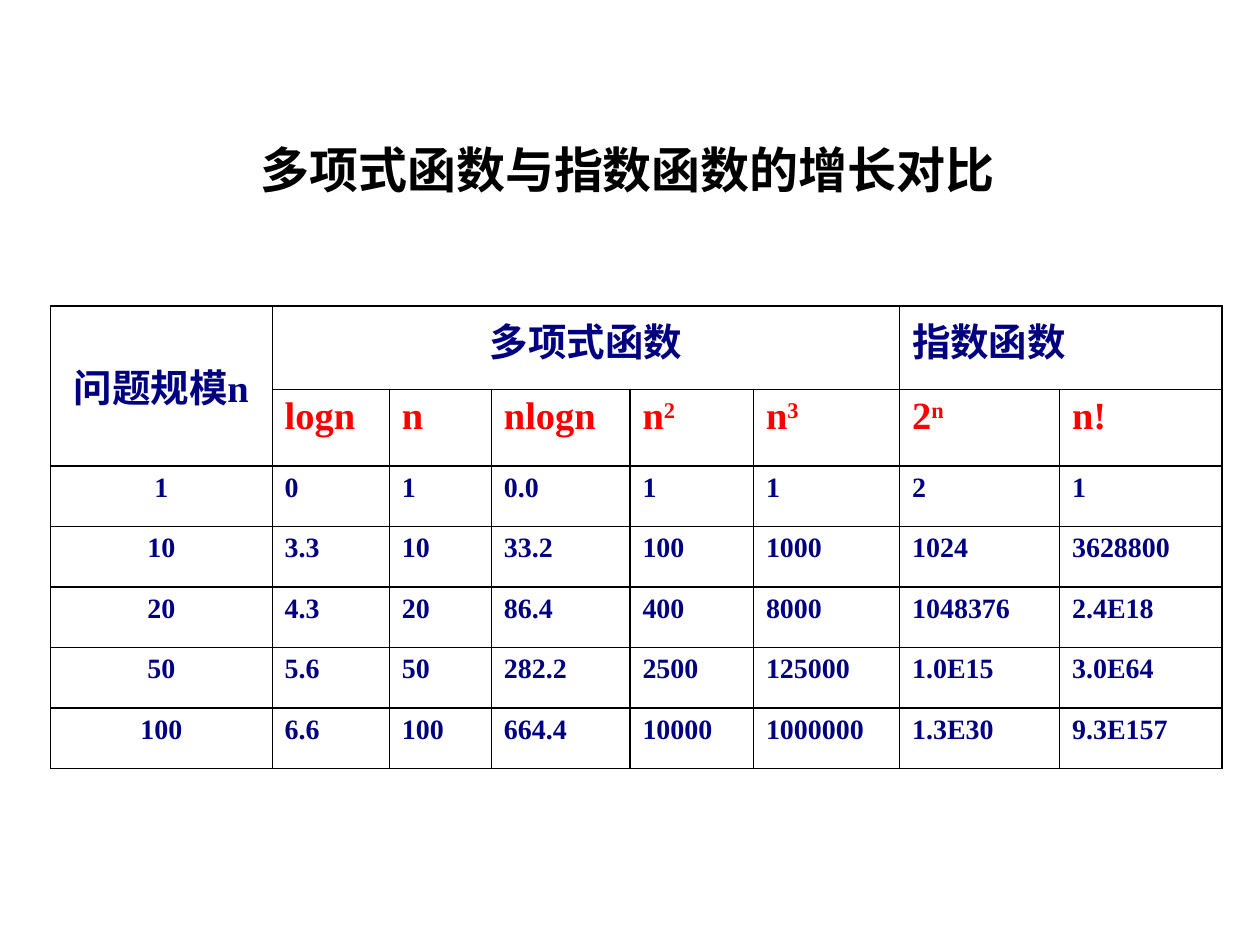
from pptx import Presentation
from pptx.dml.color import RGBColor
from pptx.enum.text import MSO_ANCHOR as Anchor, PP_ALIGN as Align
from pptx.oxml.ns import qn
from pptx.util import Inches, Pt
from lxml.etree import SubElement as Sub

BLACK = RGBColor(0, 0, 0)
NAVY = RGBColor(0, 0, 128)
RED = RGBColor(255, 0, 0)
LATIN = "Times New Roman"
HAN = "Noto Sans CJK SC"

WIDTHS = [1.76, 0.93, 0.81, 1.1, 0.98, 1.16, 1.27, 1.29]
HEIGHTS = [0.66, 0.61] + [0.48] * 5
GROUPS = [(0, 0, 1, 0, "问题规模"), (0, 1, 0, 5, "多项式函数"), (0, 6, 0, 7, "指数函数")]
HEADS = ["logn", "n", "nlogn", "n^2", "n^3", "2^n", "n!"]
ROWS = [
    ["1", "0", "1", "0.0", "1", "1", "2", "1"],
    ["10", "3.3", "10", "33.2", "100", "1000", "1024", "3628800"],
    ["20", "4.3", "20", "86.4", "400", "8000", "1048376", "2.4E18"],
    ["50", "5.6", "50", "282.2", "2500", "125000", "1.0E15", "3.0E64"],
    ["100", "6.6", "100", "664.4", "10000", "1000000", "1.3E30", "9.3E157"],
]


class Deck:
    """Hold the text style and the current slide."""

    def __init__(self):
        self.prs = Presentation()
        self.prs.slide_width, self.prs.slide_height = Inches(10), Inches(7.5)
        self.slide = self.prs.slides.add_slide(self.prs.slide_layouts[5])

    def style(self, font, size, color, name):
        font.size, font.bold, font.name = Pt(size), True, name
        font.color.rgb = color

    def title(self, text, left, top, width, height):
        box = self.slide.shapes.title
        box.left, box.top = Inches(left), Inches(top)
        box.width, box.height = Inches(width), Inches(height)
        frame = box.text_frame
        frame.text, frame.vertical_anchor = text, Anchor.TOP
        para = frame.paragraphs[0]
        para.alignment = Align.CENTER
        para.line_spacing, para.space_before = 0.9, Pt(10)
        self.style(para.font, 28, BLACK, "Calibri")

    def table(self, left, top, widths, heights):
        frame = self.slide.shapes.add_table(
            len(heights), len(widths), Inches(left), Inches(top),
            Inches(sum(widths)), Inches(sum(heights)))
        grid = frame.table
        grid.first_row = grid.horz_banding = False
        for col, width in zip(grid.columns, widths):
            col.width = Inches(width)
        for row, height in zip(grid.rows, heights):
            row.height = Inches(height)
        for cell in grid.iter_cells():
            self.border(cell)
            cell.fill.background()
        return grid

    def border(self, cell):
        props = cell._tc.get_or_add_tcPr()
        for side, width in (("L", 0.75), ("R", 0.75), ("T", 1), ("B", 1)):
            line = Sub(props, qn(f"a:ln{side}"), w=str(Pt(width)))
            fill = Sub(line, qn("a:solidFill"))
            Sub(fill, qn("a:srgbClr"), val=str(BLACK))

    def label(self, cell, text, size, color, name=LATIN, center=False):
        para = cell.text_frame.paragraphs[0]
        para.alignment = Align.CENTER if center else Align.LEFT
        self.style(para.font, size, color, name)
        base, _, power = text.partition("^")
        para.add_run().text = base
        if power:
            run = para.add_run()
            run.text = power
            run.font._element.set("baseline", "30000")
        return para


def main():
    deck = Deck()
    deck.title("多项式函数与指数函数的增长对比", 0.52, 1.11, 8.92, 0.59)
    grid = deck.table(0.4, 2.43, WIDTHS, HEIGHTS)
    for top, left, low, right, text in GROUPS:
        cell = grid.cell(top, left)
        cell.merge(grid.cell(low, right))
        para = deck.label(cell, text, 22, NAVY, HAN, left < 6)
        if low:
            cell.vertical_anchor = Anchor.MIDDLE
            run = para.add_run()
            run.text, run.font.name = "n", LATIN
    for col, text in enumerate(HEADS, 1):
        deck.label(grid.cell(1, col), text, 22, RED)
    for row, values in enumerate(ROWS, 2):
        for col, text in enumerate(values):
            deck.label(grid.cell(row, col), text, 16, NAVY, center=col == 0)
    deck.prs.save("out.pptx")


if __name__ == "__main__":
    main()
